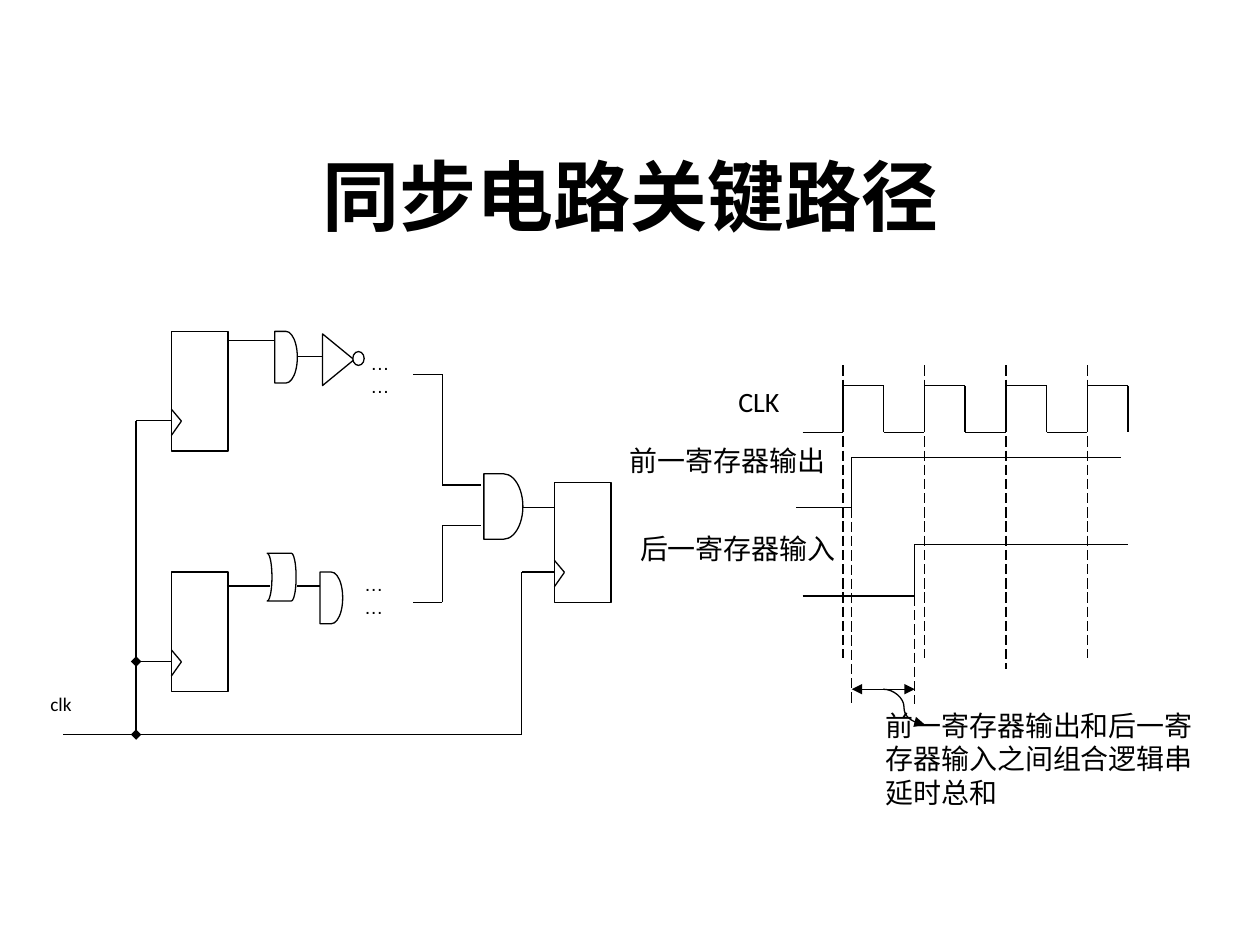
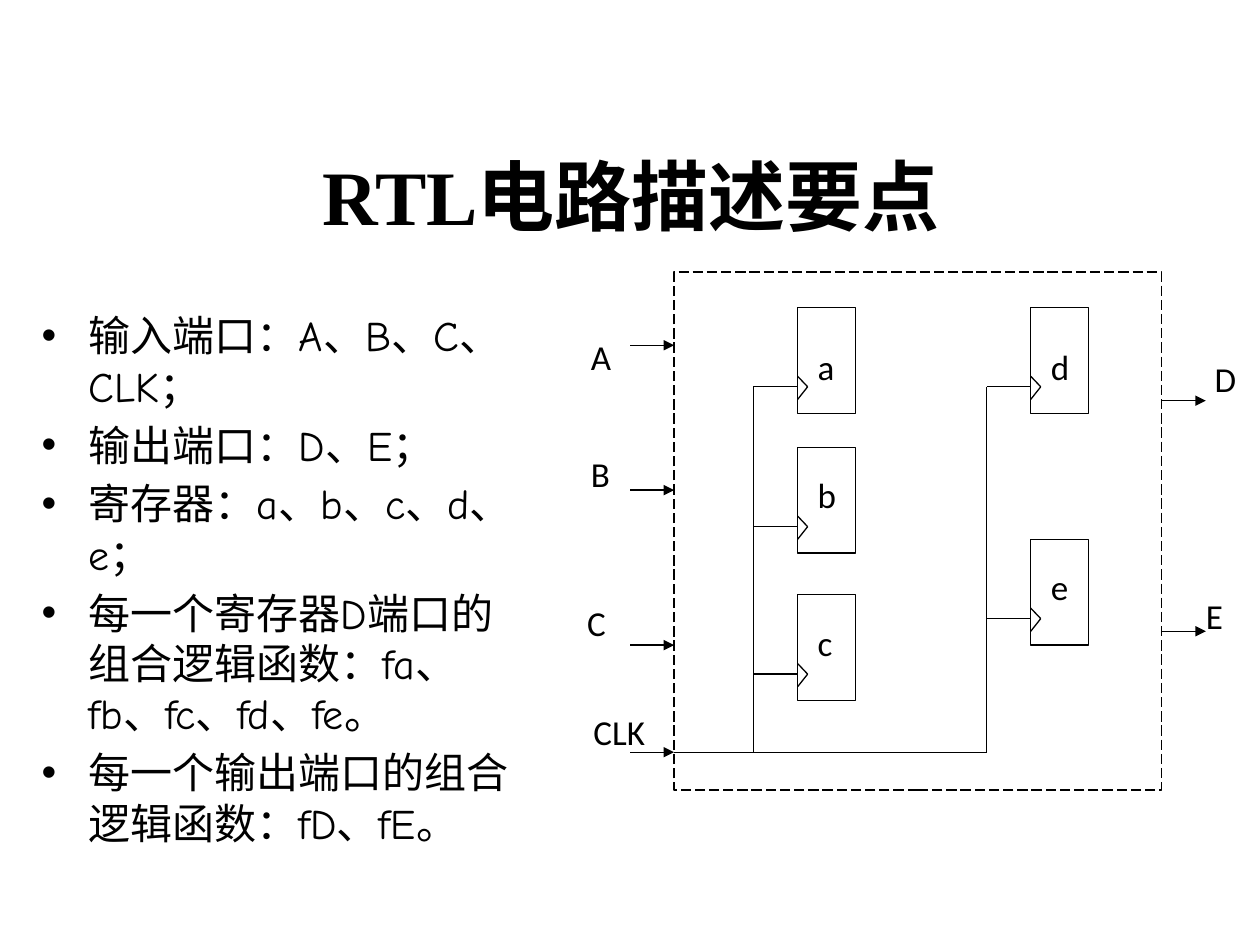
from itertools import pairwise

from lxml import etree
from pptx import Presentation
from pptx.dml.color import RGBColor
from pptx.enum.dml import MSO_LINE
from pptx.enum.shapes import MSO_CONNECTOR, MSO_SHAPE
from pptx.enum.text import MSO_ANCHOR, MSO_AUTO_SIZE, PP_ALIGN
from pptx.oxml.ns import qn
from pptx.util import Inches, Pt

COLORS = {"ink": "000000", "paper": "FFFFFF"}
TITLE_FONT, BODY_FONT, LABEL_FONT, DOTS_FONT = "Times New Roman", "Comic Neue", "Calibri", "Arial"
LINE_WIDTH = 0.75
STRAIGHT, CURVE = MSO_CONNECTOR.STRAIGHT, MSO_CONNECTOR.CURVE
RECT, AND_GATE = MSO_SHAPE.RECTANGLE, MSO_SHAPE.FLOWCHART_DELAY
OR_GATE, INVERTER = MSO_SHAPE.FLOWCHART_STORED_DATA, MSO_SHAPE.FLOWCHART_EXTRACT
BUBBLE = MSO_SHAPE.FLOWCHART_CONNECTOR
LONG_DASH = MSO_LINE.LONG_DASH
TITLE_ONLY, TITLE_AND_CONTENT = 5, 1


def rgb(name):
    return RGBColor.from_string(COLORS[name])


def format_runs(tf, size, font, bold=False):
    for p in tf.paragraphs:
        for r in p.runs:
            r.font.size, r.font.name, r.font.bold = Pt(size), font, bold
            r.font.color.rgb = rgb("ink")


def place(sp, x, y, w, h):
    sp.left, sp.top, sp.width, sp.height = (Inches(v) for v in (x, y, w, h))


class Diagram:
    """A group of parts whose coordinates count from one corner, in inches."""

    def __init__(self, s, left, top):
        self.shapes = s.shapes.add_group_shape().shapes
        self.left, self.top = left, top

    def at(self, x, y):
        return Inches(self.left + x), Inches(self.top + y)

    def line(self, start, end, head=None, tail=None, dash=None, kind=STRAIGHT):
        c = self.shapes.add_connector(kind, *self.at(*start), *self.at(*end))
        c.line.width = Pt(LINE_WIDTH)
        c.line.color.rgb = rgb("ink")
        if dash:
            c.line.dash_style = dash
        ln = c.line._get_or_add_ln()
        for tag, arrow in (("a:headEnd", head), ("a:tailEnd", tail)):
            if arrow:
                etree.SubElement(ln, qn(tag), type=arrow)
        etree.SubElement(c._element.spPr, qn("a:effectLst"))

    def wire(self, *points):
        for start, end in pairwise(points):
            self.line(start, end)

    def shape(self, kind, x, y, w, h, rotation=0):
        sp = self.shapes.add_shape(kind, *self.at(x, y), Inches(w), Inches(h))
        sp.shadow.inherit = False
        sp.rotation = rotation
        sp.fill.solid()
        sp.fill.fore_color.rgb = rgb("paper")
        sp.line.color.rgb = rgb("ink")
        sp.line.width = Pt(LINE_WIDTH)
        return sp

    def label(self, text, x, y, w, h, size, font=LABEL_FONT):
        tf = self.shapes.add_textbox(*self.at(x, y), Inches(w), Inches(h)).text_frame
        tf.margin_left = tf.margin_right = tf.margin_top = tf.margin_bottom = 0
        tf.word_wrap = True
        tf.text = text
        format_runs(tf, size, font)

    def register(self, x, y, w, h):
        """Draw a register with its clock notch; return the height of the notch tip."""
        self.shape(RECT, x, y, w, h)
        tip = y + 0.75 * h
        self.wire((x, y + 0.65 * h), (x + 0.08, tip), (x, y + 0.87 * h))
        return tip


def add_slide(prs, layout, title):
    s = prs.slides.add_slide(prs.slide_layouts[layout])
    place(s.shapes.title, 0.51, 0.92, 9, 1.25)
    tf = s.shapes.title.text_frame
    tf.text = title
    tf.vertical_anchor = MSO_ANCHOR.MIDDLE
    tf.auto_size = MSO_AUTO_SIZE.NONE
    tf.paragraphs[0].alignment = PP_ALIGN.CENTER
    format_runs(tf, 44, TITLE_FONT, bold=True)
    return s


def draw_circuit(s, left, top):
    d = Diagram(s, left, top)
    for x, y in ((0.96, 0.03), (4, 1.23), (0.96, 1.94)):
        d.register(x, y, 0.45, 0.95)

    d.shape(AND_GATE, 1.78, 0.03, 0.18, 0.41)
    d.shape(OR_GATE, 1.72, 1.79, 0.23, 0.38, 180)
    d.shape(INVERTER, 2.08, 0.13, 0.41, 0.25, 90)
    d.shape(BUBBLE, 2.4, 0.19, 0.09, 0.11)
    d.shape(AND_GATE, 2.14, 1.94, 0.18, 0.41)
    d.shape(AND_GATE, 3.44, 1.16, 0.31, 0.52)

    for x1, x2, y in ((1.4, 1.78, 0.1), (1.4, 1.74, 2.05), (1.96, 2.16, 0.23),
                      (1.96, 2.14, 2.05), (3.75, 4, 1.43)):
        d.wire((x1, y), (x2, y))
    for y_from, y_to in ((0.37, 1.25), (2.18, 1.57)):
        d.wire((2.88, y_from), (3.11, y_from), (3.11, y_to), (3.42, y_to))
    for x, y in ((2.54, 0.19), (2.49, 1.94)):
        d.label("……", x, y, 0.26, 0.29, 11, DOTS_FONT)

    d.wire((0.96, 0.74), (0.68, 0.74))
    d.line((0.68, 0.74), (0.68, 3.23), tail="diamond")
    d.line((0.68, 2.65), (0.96, 2.65), head="diamond")
    d.wire((4, 1.94), (3.74, 1.94), (3.74, 3.23), (0.1, 3.23))
    d.label("clk", 0, 2.89, 0.26, 0.29, 11)


def draw_timing(s, left, top):
    d = Diagram(s, left, top)
    half, first_rise, high, low = 0.97 / 3, 1.69, 0.16, 0.53
    clock = [(1.37, low)]
    for cycle in range(4):
        rise = first_rise + 2 * half * cycle
        fall = rise + half
        clock += [(rise, low), (rise, high), (fall, high), (fall, low)]
        d.line((rise, 0), (rise, 2.41 if cycle == 2 else 2.32), dash=LONG_DASH)
    d.wire(*clock)

    launch, arrive = 1.76, 2.26
    d.wire((1.32, 1.13), (launch, 1.13), (launch, 0.73), (3.9, 0.73))
    d.wire((1.37, 1.83), (arrive, 1.83), (arrive, 1.42), (3.95, 1.42))
    for x, y in ((launch, 1.13), (arrive, 1.83)):
        d.line((x, y), (x, 2.69), dash=LONG_DASH)
    d.line((launch, 2.57), (arrive, 2.57), head="triangle", tail="triangle")
    d.line((2.01, 2.57), (2.34, 2.85), tail="triangle", kind=CURVE)

    for text, x, y, w, h in (
        ("CLK", 0.86, 0.15, 0.51, 0.39),
        ("前一寄存器输出", 0, 0.62, 1.6, 0.55),
        ("后一寄存器输入", 0.08, 1.32, 1.6, 0.55),
        ("前一寄存器输出和后一寄存器输入之间组合逻辑串延时总和", 2.03, 2.72, 2.57, 0.83),
    ):
        d.label(text, x, y, w, h, 16)


def draw_rtl_module(s, left, top):
    d = Diagram(s, left, top)
    width, height, pin, clock_y = 3.87, 4.11, 0.35, 3.81
    module = d.shape(RECT, 0, 0, width, height)
    module.fill.background()
    module.line.dash_style = LONG_DASH

    # Each column: left edge, then name, top and label offset of its registers
    columns = (
        (0.98, (("a", 0.28, 0.3), ("b", 1.39, 0.21), ("c", 2.56, 0.21))),
        (2.83, (("d", 0.28, 0.3), ("e", 2.12, 0.21))),
    )
    for x, registers in columns:
        bus = x - pin
        tips = []
        for name, y, drop in registers:
            tip = d.register(x, y, 0.46, 0.84)
            d.wire((bus, tip), (x, tip))
            d.label(name, x + 0.16, y + drop, 0.2, 0.34, 20)
            tips.append(tip)
        d.wire((bus, min(tips)), (bus, clock_y))
    d.wire((0, clock_y), (bus, clock_y))

    # Each port: name, arrow start, arrow height, label corner
    for name, x, y, label_x, label_y in (
        ("A", -pin, 0.58, -0.66, 0.5),
        ("B", -pin, 1.73, -0.66, 1.43),
        ("C", -pin, 2.96, -0.69, 2.61),
        ("CLK", -pin, clock_y, -0.64, 3.48),
        ("D", width, 1.02, 4.29, 0.68),
        ("E", width, 2.85, 4.22, 2.56),
    ):
        d.line((x, y), (x + pin, y), tail="triangle")
        d.label(name, label_x, label_y, 0.2 * len(name), 0.34, 20)


def fill_body(s, items, *box):
    body = s.placeholders[1]
    place(body, *box)
    tf = body.text_frame
    tf.text = "\n".join(items)
    tf.auto_size = MSO_AUTO_SIZE.NONE
    format_runs(tf, 24, BODY_FONT)


def critical_path_slide(prs):
    s = add_slide(prs, TITLE_ONLY, "同步电路关键路径")
    draw_circuit(s, 0.4, 2.6)
    draw_timing(s, 5, 2.9)


def rtl_slide(prs):
    s = add_slide(prs, TITLE_AND_CONTENT, "RTL电路描述要点")
    fill_body(s, (
        "输入端口：A、B、C、CLK；",
        "输出端口：D、E；",
        "寄存器：a、b、c、d、e；",
        "每一个寄存器D端口的组合逻辑函数：fa、fb、fc、fd、fe。",
        "每一个输出端口的组合逻辑函数：fD、fE。",
    ), 0.23, 2.41, 3.98, 4.29)
    draw_rtl_module(s, 5.35, 2.16)


def main():
    prs = Presentation()
    prs.slide_width, prs.slide_height = Inches(10), Inches(7.5)
    critical_path_slide(prs)
    rtl_slide(prs)
    prs.save("out.pptx")


if __name__ == "__main__":
    main()
